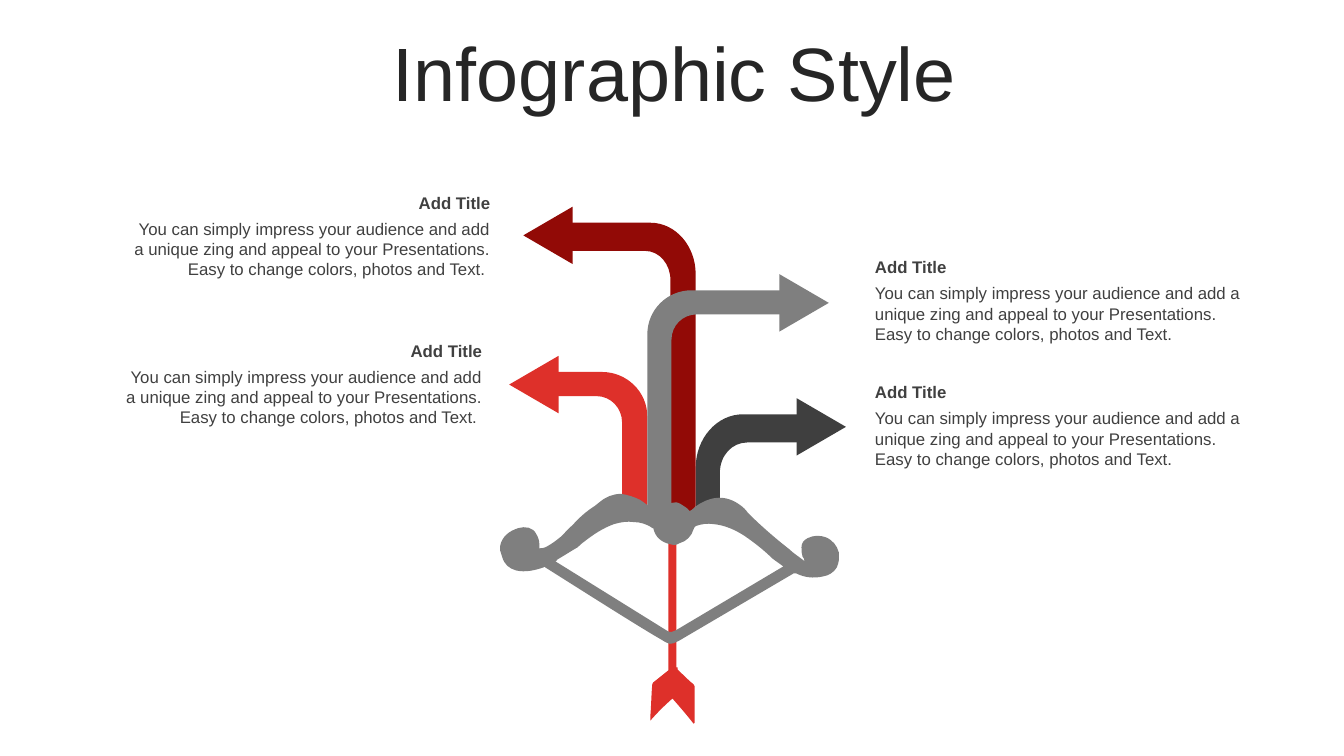
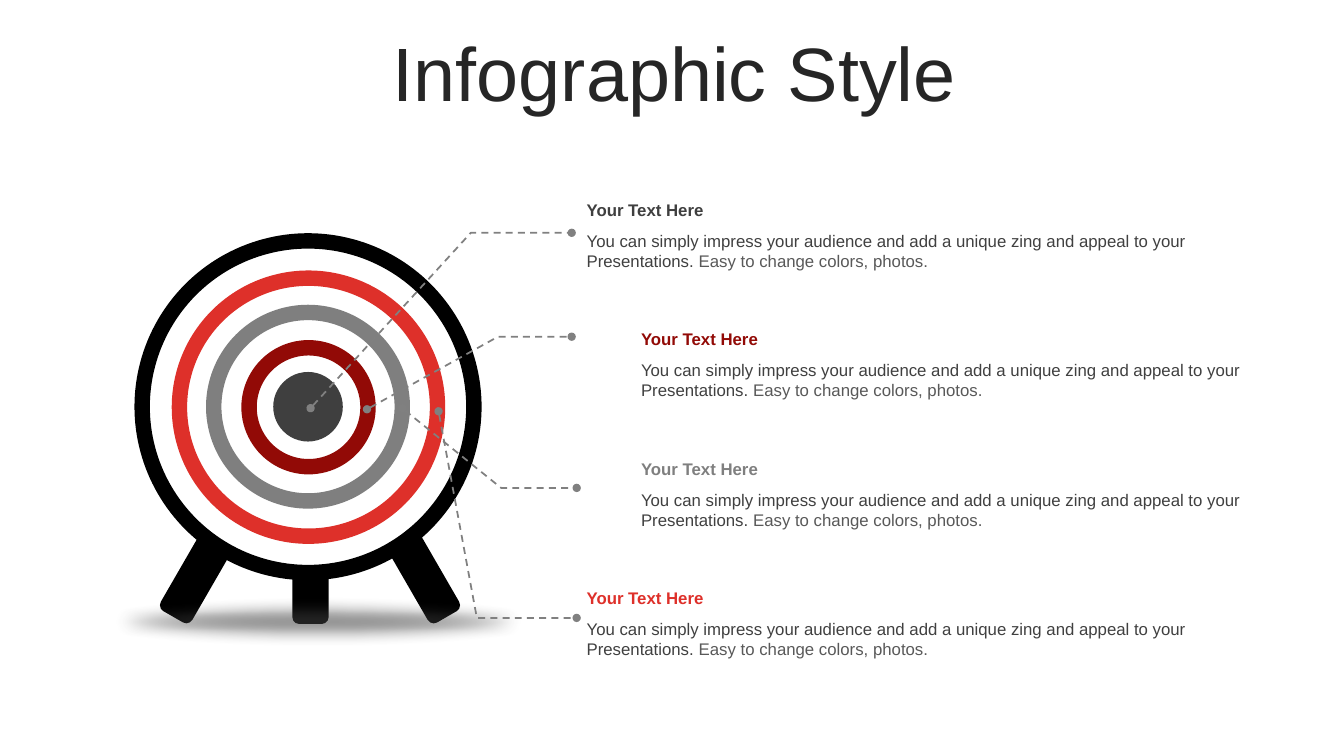
"""Build two infographic slides: a bow with branching arrows and a target with callouts."""

from dataclasses import dataclass

from lxml import etree
from pptx import Presentation
from pptx.dml.color import RGBColor
from pptx.enum.dml import MSO_LINE
from pptx.enum.shapes import MSO_SHAPE
from pptx.enum.text import MSO_ANCHOR, PP_ALIGN
from pptx.oxml.ns import qn
from pptx.shapes.autoshape import Shape
from pptx.slide import Slide
from pptx.util import Emu, Pt

EMU_PER_PX = 9144
SLIDE_W, SLIDE_H = 1333, 750
FONT = "Arial"

INK, TEXT, SOFT_TEXT = "262626", "404040", "595959"
CHARCOAL, RED, MAROON, GREY = "3F3F3F", "DE302A", "920A06", "7F7F7F"
BLACK, WHITE, LEADER_GREY = "000000", "FFFFFF", "808080"

TRIANGLE, OVAL = MSO_SHAPE.ISOSCELES_TRIANGLE, MSO_SHAPE.OVAL
ROUNDED = MSO_SHAPE.ROUNDED_RECTANGLE
LEFT, CENTER, RIGHT = PP_ALIGN.LEFT, PP_ALIGN.CENTER, PP_ALIGN.RIGHT
TOP, MIDDLE = MSO_ANCHOR.TOP, MSO_ANCHOR.MIDDLE
DASH = MSO_LINE.DASH

Contour = list[tuple[int, ...]]
Run = tuple[str, str]

PITCH = "You can simply impress your audience and add a unique zing and appeal to your Presentations. "
BRANCH_BODY = PITCH + "Easy to change colors, photos and Text."
RING_BODY = [(PITCH, TEXT), ("Easy to change colors, photos.", SOFT_TEXT)]


@dataclass(frozen=True)
class Branch:
    """An arrow: ribbon outline, head position and turn, colour."""
    ribbon: Contour
    head_left: int
    head_top: int
    turn: int
    color: str


@dataclass(frozen=True)
class Callout:
    """A bold heading with body text below it."""
    left: int
    top: int
    width: int
    heading: str
    color: str
    body: list[Run]
    body_drop: int
    body_height: int
    align: PP_ALIGN = LEFT


@dataclass(frozen=True)
class Leg:
    """A leg of the target stand."""
    left: int
    top: int
    turn: int


@dataclass(frozen=True)
class Ring:
    """A ring of the target."""
    diameter: int
    color: str


BRANCHES = [
    Branch([(737, 411), (798, 411), (798, 439), (741, 439), (726, 439, 714, 452, 714, 469),
            (714, 502), (690, 502), (690, 464), (690, 435, 711, 411, 737, 411)],
           786, 399, 90, CHARCOAL),
    Branch([(549, 369), (597, 369), (622, 369, 642, 389, 642, 413), (642, 507), (617, 507),
            (617, 419), (617, 405, 606, 393, 592, 393), (549, 393)],
           501, 357, 270, RED),
    Branch([(553, 221), (645, 221), (670, 221, 690, 244, 690, 272), (690, 512), (689, 512),
            (689, 514), (665, 514), (665, 278), (665, 262, 654, 249, 640, 249), (547, 249),
            (547, 222), (549, 222), (549, 221), (550, 221, 552, 221, 553, 221)],
           515, 209, 270, MAROON),
    Branch([(686, 288), (778, 288), (780, 288, 781, 288, 783, 288), (783, 289), (784, 289),
            (784, 312), (691, 312), (677, 312, 666, 323, 666, 337), (666, 515), (642, 515),
            (642, 332), (642, 307, 662, 288, 686, 288)],
           769, 276, 90, GREY),
]

SHAFT: Contour = [
    (663, 514), (671, 514), (671, 662), (672, 662), (672, 664),
    (672, 664, 673, 665, 673, 665), (678, 670, 683, 675, 688, 679),
    (689, 680, 689, 680, 689, 681), (689, 693, 689, 705, 689, 717),
    (689, 717, 689, 717, 688, 718), (681, 709, 674, 701, 667, 693),
    (659, 700, 652, 707, 645, 715), (645, 713, 645, 712, 645, 711),
    (646, 700, 646, 689, 647, 679), (647, 678, 648, 677, 648, 677), (663, 665),
]

BOW_INSIDE: Contour = [
    (551, 557), (662, 626), (666, 628, 666, 627, 671, 625), (777, 562),
    (773, 559, 770, 557, 766, 554), (758, 546, 749, 539, 739, 532),
    (730, 526, 719, 521, 708, 520), (702, 519, 695, 520, 690, 522),
    (689, 523, 688, 524, 688, 525), (686, 532, 681, 537, 674, 539),
    (670, 541, 669, 541, 665, 540), (656, 538, 650, 533, 648, 524),
    (647, 524, 646, 524, 646, 523), (641, 520, 635, 518, 629, 518),
    (622, 517, 616, 518, 609, 520), (598, 524, 589, 530, 580, 537),
    (577, 539, 575, 541, 573, 543), (566, 547, 560, 551, 553, 555),
    (553, 556, 552, 556, 551, 557),
]

BOW_OUTSIDE: Contour = [
    (496, 546), (496, 542), (498, 532, 505, 527, 514, 524), (521, 522, 529, 523, 532, 530),
    (534, 533, 535, 537, 535, 540), (535, 544), (537, 544, 539, 544, 541, 543),
    (547, 540, 552, 536, 557, 532), (561, 528, 564, 524, 568, 521),
    (574, 514, 582, 507, 590, 502), (592, 501, 593, 499, 595, 498),
    (601, 493, 608, 490, 616, 490), (623, 491, 629, 493, 635, 496),
    (641, 500, 646, 504, 651, 509), (654, 503, 659, 500, 666, 499),
    (669, 498, 672, 498, 675, 500), (678, 502, 682, 504, 684, 507),
    (685, 507, 685, 506, 686, 506), (691, 501, 698, 497, 705, 495),
    (716, 492, 726, 495, 734, 501), (737, 503, 740, 506, 742, 509),
    (755, 522, 769, 534, 783, 545), (787, 549, 792, 552, 797, 556),
    (797, 556, 798, 556, 798, 557), (798, 555, 797, 553, 796, 552),
    (795, 549, 795, 546, 795, 543), (795, 539, 797, 536, 801, 534),
    (807, 531, 813, 531, 819, 533), (826, 536, 830, 541, 832, 548), (832, 552),
    (832, 553, 832, 554, 832, 556), (832, 558, 831, 560, 830, 563),
    (827, 568, 822, 571, 816, 572), (807, 574, 798, 573, 790, 569),
    (789, 569, 788, 569, 787, 569), (673, 636), (664, 640, 665, 640, 655, 634),
    (634, 622, 579, 587, 541, 563), (540, 562, 540, 562, 539, 563),
    (530, 566, 521, 568, 512, 566), (505, 564, 500, 560, 498, 552),
    (497, 550, 497, 548, 496, 546),
]

BRANCH_CALLOUTS = [
    Callout(left, top, width, "Add Title", TEXT, [(body, TEXT)], 26, 71, align)
    for left, top, width, body, align in (
        (858, 250, 386, BRANCH_BODY, LEFT),
        (858, 374, 386, BRANCH_BODY, LEFT),
        (114, 186, 382, BRANCH_BODY + " ", RIGHT),
        (106, 333, 382, BRANCH_BODY + " ", RIGHT),
    )
]
RING_CALLOUTS = [
    Callout(left, top, 616, "Your Text Here", color, RING_BODY, 31, 50)
    for left, top, color in (
        (572, 193, CHARCOAL), (626, 321, MAROON), (626, 450, GREY), (572, 578, RED))
]

LEGS = [Leg(290, 394, 0), Leg(369, 402, 330), Leg(210, 402, 30)]
TARGET_X, TARGET_Y = 306, 404
RINGS = [Ring(329, BLACK), Ring(256, RED), Ring(187, GREY), Ring(118, MAROON)]
BULLSEYE = 69
LEADERS: list[Contour] = [
    [(308, 405), (467, 231), (567, 231)],
    [(364, 406), (494, 334), (567, 334)],
    [(399, 405), (497, 484), (572, 484)],
    [(435, 408), (473, 613), (572, 613)],
]


def px(length: int) -> Emu:
    """Turn px into EMU."""
    return Emu(length * EMU_PER_PX)


def rgb(color: str) -> RGBColor:
    """Turn a hex string into a colour."""
    return RGBColor.from_string(color)


def paint(shape: Shape, color: str) -> Shape:
    """Give a shape a plain fill without line or shadow."""
    shape.shadow.inherit = False
    shape.fill.solid()
    shape.fill.fore_color.rgb = rgb(color)
    shape.line.fill.background()
    return shape


def add_preset(slide: Slide, kind: MSO_SHAPE, left: int, top: int, width: int, height: int,
               color: str, turn: int = 0) -> Shape:
    """Draw a plain preset shape."""
    shape = slide.shapes.add_shape(kind, px(left), px(top), px(width), px(height))
    shape.rotation = turn
    return paint(shape, color)


def bend(shape: Shape, contours: list[Contour]) -> None:
    """Merge the three segments of each six-number step into one cubic curve."""
    outline = next(shape.element.spPr.iter(qn("a:path")))
    segments = iter([node for node in outline if node.tag != qn("a:close")])
    for contour in contours:
        for step in contour:
            parts = [next(segments) for _ in range(len(step) // 2)]
            if len(parts) == 3:
                curve = etree.SubElement(outline, qn("a:cubicBezTo"))
                parts[0].addprevious(curve)
                for part in parts:
                    curve.append(part[0])
                    outline.remove(part)


def add_outline(slide: Slide, contours: list[Contour], close: bool = True) -> Shape:
    """Draw one freeform of straight lines and cubic curves."""
    start_x, start_y = contours[0][0]
    builder = slide.shapes.build_freeform(start_x, start_y, scale=EMU_PER_PX)
    for contour in contours:
        if contour is not contours[0]:
            builder.move_to(*contour[0])
        points = [step[i:i + 2] for step in contour[1:] for i in range(0, len(step), 2)]
        builder.add_line_segments(points, close=close)
    shape = builder.convert_to_shape()
    bend(shape, contours)
    return shape


def add_text(slide: Slide, left: int, top: int, width: int, height: int, runs: list[Run],
             size: int = 12, bold: bool = False, align: PP_ALIGN = LEFT,
             anchor: MSO_ANCHOR = TOP, spacing: float = 1.0) -> None:
    """Write one paragraph of coloured runs."""
    frame = slide.shapes.add_textbox(px(left), px(top), px(width), px(height)).text_frame
    frame.word_wrap = True
    frame.vertical_anchor = anchor
    paragraph = frame.paragraphs[0]
    paragraph.alignment = align
    paragraph.line_spacing = spacing
    paragraph.font.name = FONT
    paragraph.font.size = Pt(size)
    paragraph.font.bold = bold
    for words, color in runs:
        run = paragraph.add_run()
        run.text = words
        run.font.color.rgb = rgb(color)


def add_callout(slide: Slide, callout: Callout) -> None:
    """Write a heading and its body."""
    add_text(slide, callout.left, callout.top, callout.width, 30,
             [(callout.heading, callout.color)], bold=True, align=callout.align)
    add_text(slide, callout.left, callout.top + callout.body_drop, callout.width,
             callout.body_height, callout.body, align=callout.align)


def add_disc(slide: Slide, diameter: int, color: str) -> Shape:
    """Draw a disc on the centre of the target."""
    return add_preset(slide, OVAL, (2 * TARGET_X - diameter) // 2,
                      (2 * TARGET_Y - diameter) // 2, diameter, diameter, color)


def add_ground_shadow(slide: Slide) -> None:
    """Draw the soft, translucent shadow under the target."""
    properties = add_preset(slide, OVAL, 65, 592, 501, 49, TEXT).element.spPr
    color = properties.find(qn("a:solidFill"))[0]
    etree.SubElement(color, qn("a:alpha"), val="58000")
    etree.SubElement(properties.find(qn("a:effectLst")), qn("a:softEdge"), rad="127000")


def add_leader(slide: Slide, points: Contour) -> None:
    """Draw a dashed leader with a dot at each end."""
    leader = add_outline(slide, [points], close=False)
    leader.shadow.inherit = False
    leader.fill.background()
    leader.line.color.rgb = rgb(LEADER_GREY)
    leader.line.width = Pt(1.25)
    leader.line.dash_style = DASH
    stroke = leader.element.spPr.find(qn("a:ln"))
    for end in ("a:headEnd", "a:tailEnd"):
        etree.SubElement(stroke, qn(end), type="oval")


def add_titled_slide(deck: Presentation) -> Slide:
    """Add a blank slide with the shared title."""
    slide = deck.slides.add_slide(deck.slide_layouts[6])
    add_text(slide, 36, 37, 1266, 79, [("Infographic Style", INK)], size=54,
             align=CENTER, anchor=MIDDLE, spacing=0.9)
    return slide


def build_bow(deck: Presentation) -> None:
    """Build the slide with the bow and its branches."""
    slide = add_titled_slide(deck)
    for branch in BRANCHES:
        paint(add_outline(slide, [branch.ribbon]), branch.color)
    for branch in BRANCHES:
        add_preset(slide, TRIANGLE, branch.head_left, branch.head_top, 57, 49,
                   branch.color, branch.turn)
    for callout in BRANCH_CALLOUTS:
        add_callout(slide, callout)
    paint(add_outline(slide, [SHAFT]), RED)
    paint(add_outline(slide, [BOW_INSIDE, BOW_OUTSIDE]), GREY)


def build_target(deck: Presentation) -> None:
    """Build the slide with the target and its callouts."""
    slide = add_titled_slide(deck)
    for leg in LEGS:
        post = add_preset(slide, ROUNDED, leg.left, leg.top, 36, 225, BLACK, leg.turn)
        post.adjustments[0] = 0.19
    for ring in RINGS:
        disc = add_disc(slide, ring.diameter, WHITE)
        disc.line.color.rgb = rgb(ring.color)
        disc.line.width = Pt(11)
    add_disc(slide, BULLSEYE, CHARCOAL)
    add_ground_shadow(slide)
    for callout in RING_CALLOUTS:
        add_callout(slide, callout)
    for points in LEADERS:
        add_leader(slide, points)


def main() -> None:
    """Build and save the deck."""
    deck = Presentation()
    deck.slide_width, deck.slide_height = px(SLIDE_W), px(SLIDE_H)
    build_bow(deck)
    build_target(deck)
    deck.save("out.pptx")


if __name__ == "__main__":
    main()
